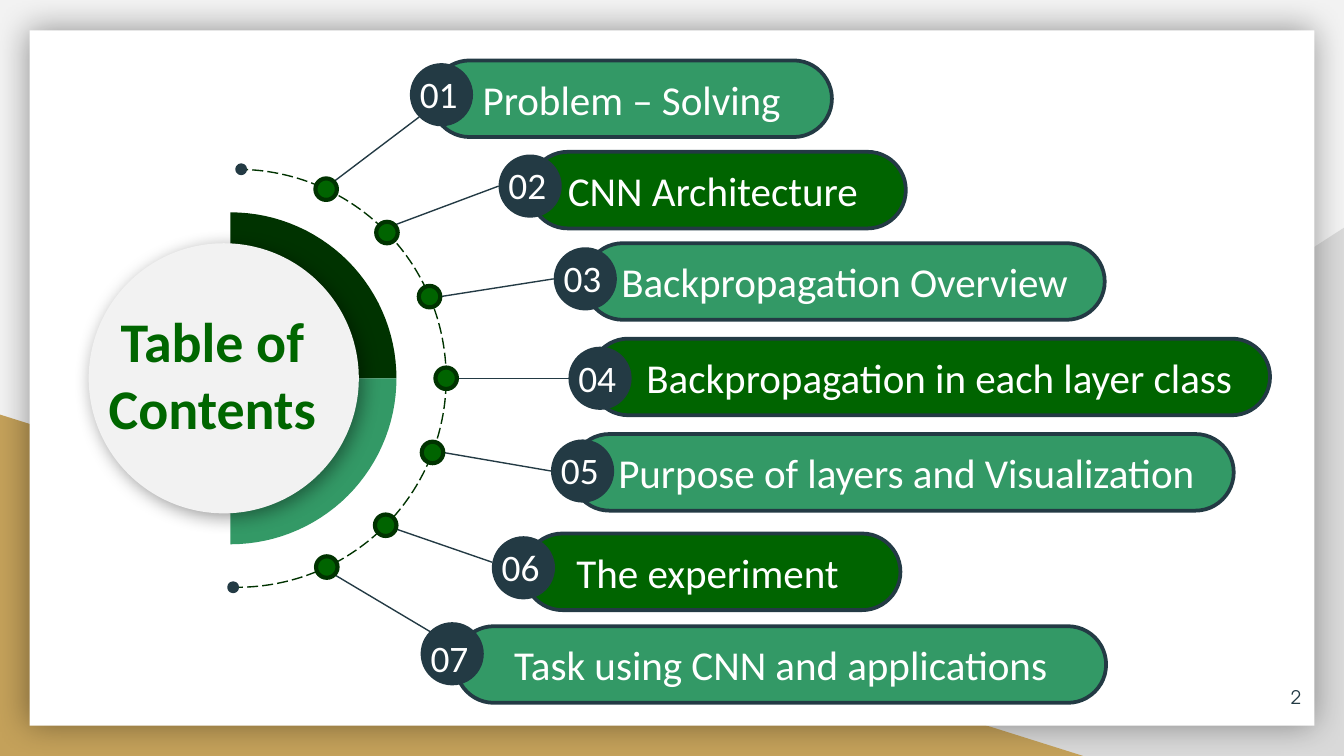
from collections import namedtuple
from math import cos, radians, sin

from lxml.etree import SubElement
from pptx import Presentation
from pptx.dml.color import RGBColor
from pptx.enum.dml import MSO_LINE as Dash
from pptx.enum.shapes import MSO_CONNECTOR as Connector, MSO_SHAPE as Shape
from pptx.enum.text import MSO_ANCHOR as Anchor, PP_ALIGN as Align
from pptx.oxml.ns import qn
from pptx.util import Emu, Inches, Pt

WHITE = RGBColor(0xFF, 0xFF, 0xFF)
PALE = RGBColor(0xF2, 0xF2, 0xF2)
GREY = RGBColor(0xD9, 0xD9, 0xD9)
GOLD = RGBColor(0xC4, 0xA1, 0x5A)
SLATE = RGBColor(0x23, 0x3A, 0x44)
FOREST = RGBColor(0x00, 0x64, 0x00)
TITLE_GREEN = RGBColor(0x00, 0x66, 0x00)
DEEP = RGBColor(0x00, 0x33, 0x00)
MINT = RGBColor(0x33, 0x99, 0x66)

COLUMNS, ROWS = 100, 56.25
SLIDE_WIDTH = Inches(10)
CELL = SLIDE_WIDTH / COLUMNS
DOT, BADGE = 1.6, 4.7

Box = namedtuple("Box", "left top width height")
Item = namedtuple(
    "Item", "label pill badge dot_angle leave arrive nudge drop", defaults=(0, 0.1)
)

ITEMS = [
    Item("Problem – Solving", Box(32.1, 4.5, 29.8, 5.7), (30.5, 4.7), -64.8, -45, 135),
    Item("CNN Architecture", Box(39.4, 11.3, 28, 5.7), (37.1, 11.5), -44.2, -45, 180, -0.35),
    Item("Backpropagation Overview", Box(43.5, 18.1, 38.7, 5.7), (41.2, 18.4), -23, 0, 180),
    Item("Backpropagation in each layer class", Box(43.9, 25.2, 50.6, 5.7),
         (42.3, 25.8), 0, 0, 180, 0.7),
    Item("Purpose of layers and Visualization", Box(42.5, 32.3, 49.3, 5.7),
         (41, 32.7), 20.8, 0, 180, 0.3),
    Item("The experiment", Box(39, 39.7, 28, 5.7), (36.6, 39.9), 44.7, 20, 190, -0.35),
    Item("Task using CNN and applications", Box(33.9, 46.6, 48.4, 5.7),
         (31.3, 46.3), 64.6, 45, 225, 0, 0.5),
]


def cells(*counts):
    return [Emu(round(count * CELL)) for count in counts]


def around(x, y, size):
    return Box(x - size / 2, y - size / 2, size, size)


def on_circle(x, y, radius, angle):
    return x + radius * cos(radians(angle)), y + radius * sin(radians(angle))


def paint(shape, fill=None, line=None, weight=0):
    shape.shadow.inherit = False
    if fill is None:
        shape.fill.background()
    else:
        shape.fill.solid()
        shape.fill.fore_color.rgb = fill
    if line is None:
        shape.line.fill.background()
    else:
        shape.line.color.rgb = line
        shape.line.width = Pt(weight)
    return shape


def add_part(page, kind, box, **look):
    return paint(page.shapes.add_shape(kind, *cells(*box)), **look)


def cast_shadow(shape, blur, distance, angle):
    effects = shape._element.spPr.find(qn("a:effectLst"))
    shadow = SubElement(effects, qn("a:outerShdw"), blurRad=str(Pt(blur)),
                        dist=str(Pt(distance)), dir=str(angle * 60000),
                        algn="ctr", rotWithShape="0")
    colour = SubElement(shadow, qn("a:srgbClr"), val="000000")
    SubElement(colour, qn("a:alpha"), val="40000")


def write(shape, lines, align, colour, frame=None, **font):
    text = shape.text_frame
    text.word_wrap = True
    for name, value in (frame or {}).items():
        setattr(text, name, value)
    for index, line in enumerate(lines):
        para = text.paragraphs[0] if index == 0 else text.add_paragraph()
        para.alignment = align
        span = para.add_run()
        span.text = line
        span.font.color.rgb = colour
        for name, value in {"name": "Calibri", **font}.items():
            setattr(span.font, name, value)


def add_text(page, box, *content, **options):
    write(page.shapes.add_textbox(*cells(*box)), *content, **options)


def add_link(page, start, end):
    link = page.shapes.add_connector(Connector.STRAIGHT, *cells(*start, *end))
    link.line.color.rgb = SLATE
    link.line.width = Pt(0.75)
    SubElement(link._element.spPr, qn("a:effectLst"))


def add_quarter(page, centre, radius, first_angle, fill):
    rim = [cells(*on_circle(*centre, radius, first_angle + step * 3)) for step in range(31)]
    builder = page.shapes.build_freeform(*cells(*centre), scale=1.0)
    builder.add_line_segments(rim, close=True)
    paint(builder.convert_to_shape(), fill=fill)


def add_backdrop(page, box):
    page.background.fill.solid()
    page.background.fill.fore_color.rgb = PALE
    left, top, width, height = box
    right, bottom = left + width, top + height
    grey = add_part(page, Shape.RIGHT_TRIANGLE,
                    Box(right - 60.8, bottom - 39.3, 60.8, 39.3), fill=GREY)
    grey._element.spPr.xfrm.set("flipH", "1")
    add_part(page, Shape.RIGHT_TRIANGLE, Box(left, bottom - 25.4, 80.6, 25.4), fill=GOLD)
    panel = add_part(page, Shape.RECTANGLE,
                     Box(left + 2.2, top + 2.25, width - 4.4, height - 4.5), fill=WHITE)
    cast_shadow(panel, 18, 0, 0)
    add_text(page, Box(right - 8.2, bottom - 6.55, 6, 4.3), ["2"], Align.RIGHT, SLATE,
             frame={"vertical_anchor": Anchor.MIDDLE, "margin_top": Inches(0.1),
                    "margin_bottom": Inches(0.1)},
             name="TeX Gyre Adventor", size=Pt(10))


def add_orbit(page, box):
    arc = add_part(page, Shape.ARC, box, line=DEEP, weight=0.75)
    arc.adjustments[0], arc.adjustments[1] = 162, 54.465
    arc.line.dash_style = Dash.LONG_DASH
    middle = box.left + box.width / 2
    for x, y in ((middle + 0.3, box.top), (middle - 0.3, box.top + box.height)):
        add_part(page, Shape.OVAL, around(x, y, 0.6), fill=SLATE, line=SLATE, weight=2)


def add_hub(page, box):
    left, top, size, _ = box
    centre = left + size / 2 + 0.5, top + size / 2
    add_quarter(page, centre, 12.35, -90, DEEP)
    add_quarter(page, centre, 12.35, 0, MINT)
    disc = add_part(page, Shape.OVAL, box, fill=PALE)
    cast_shadow(disc, 10, 3, 45)
    add_text(page, Box(left - 1, top + 4.2, size, 11.1), ["Table of", "Contents"],
             Align.CENTER, TITLE_GREEN, frame={"margin_left": Inches(0.13)},
             size=Pt(30), bold=True)


def add_item(page, orbit, number, item):
    radius = orbit.width / 2
    dot = on_circle(orbit.left + radius, orbit.top + radius, radius, item.dot_angle)
    left, top = item.badge
    badge = left + BADGE / 2, top + BADGE / 2
    add_link(page, on_circle(*dot, DOT / 2, item.leave),
             on_circle(*badge, BADGE / 2, item.arrive))
    add_part(page, Shape.OVAL, around(*dot, DOT), fill=FOREST, line=DEEP, weight=2.25)
    pill = add_part(page, Shape.ROUNDED_RECTANGLE, item.pill,
                    fill=MINT if number % 2 else FOREST, line=SLATE, weight=2)
    pill.adjustments[0] = 0.5
    margin_left, margin_right = cells(1 + item.nudge, 1 - item.nudge)
    write(pill, [item.label], Align.CENTER, WHITE,
          frame={"vertical_anchor": Anchor.MIDDLE, "margin_left": margin_left,
                 "margin_right": margin_right}, size=Pt(22))
    add_part(page, Shape.OVAL, around(*badge, BADGE), fill=SLATE)
    add_text(page, Box(left - 0.25, top + item.drop, 5.3, 4.4), [f"{number:02}"],
             Align.LEFT, WHITE, size=Pt(20))


def main():
    deck = Presentation()
    deck.slide_width = SLIDE_WIDTH
    deck.slide_height = cells(ROWS)[0]
    page = deck.slides.add_slide(deck.slide_layouts[6])
    orbit = Box(2.1, 12.6, 31.1, 31.1)
    add_backdrop(page, Box(0, 0, COLUMNS, ROWS))
    add_orbit(page, orbit)
    for number, item in enumerate(ITEMS, 1):
        add_item(page, orbit, number, item)
    add_hub(page, Box(6.6, 18.1, 20.1, 20.1))
    deck.save("out.pptx")


if __name__ == "__main__":
    main()
